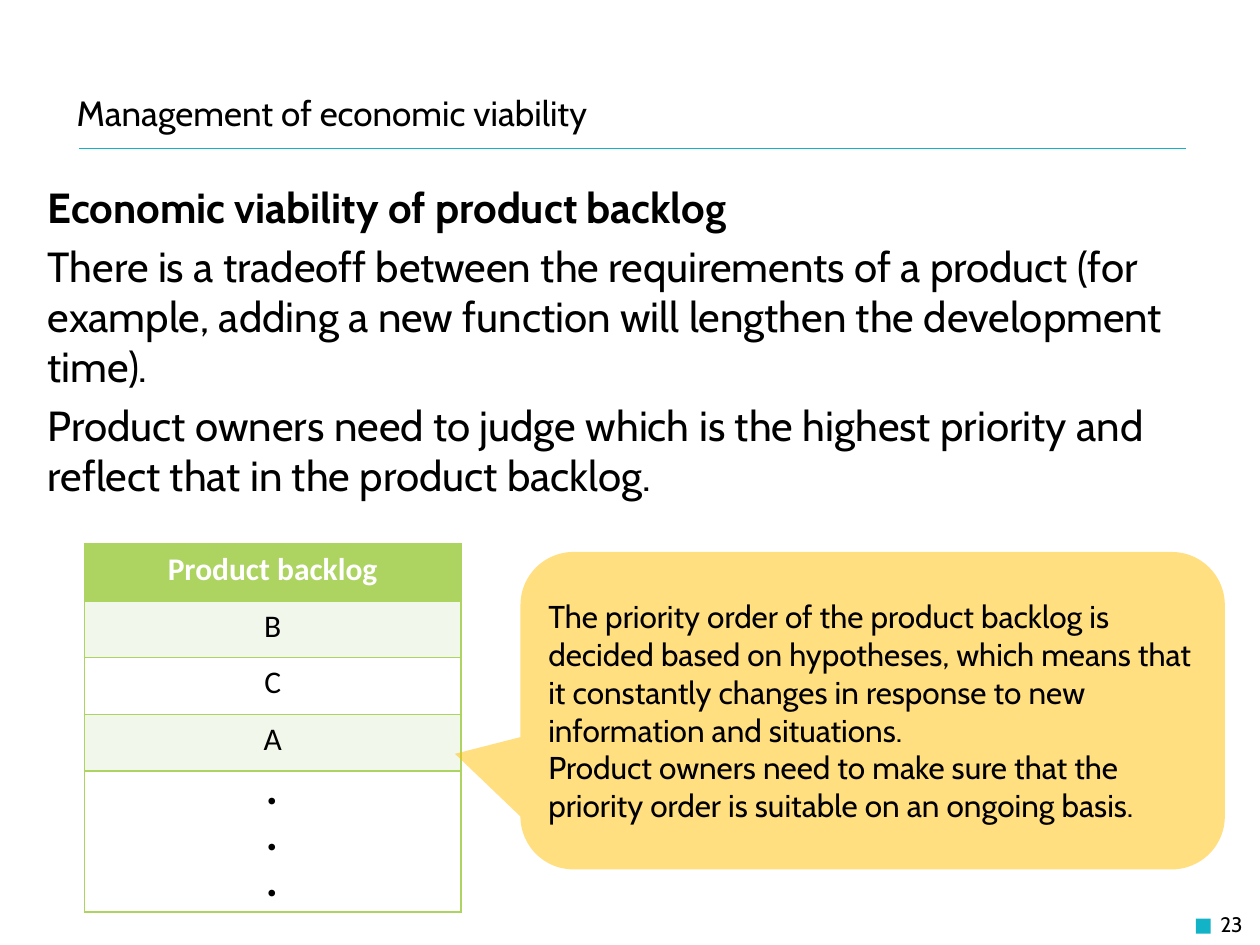
from dataclasses import dataclass

from lxml import etree
from pptx import Presentation
from pptx import util as u
from pptx.dml.color import RGBColor
from pptx.enum import shapes, text
from pptx.oxml import ns


@dataclass(frozen=True)
class Theme:
    ink: str = "000000"
    white: str = "FFFFFF"
    teal: str = "12B3C7"
    green: str = "ADD361"
    pale_green: str = "F1F7EA"
    amber: str = "FFC000"
    font: str = "Cabin"
    table_font: str = "Calibri"
    title_size: int = 20
    body_size: int = 24
    label_size: int = 18
    number_size: int = 12


THEME = Theme()
LEFT, CENTER, RIGHT = text.PP_ALIGN.LEFT, text.PP_ALIGN.CENTER, text.PP_ALIGN.RIGHT
TOP, MIDDLE = text.MSO_ANCHOR.TOP, text.MSO_ANCHOR.MIDDLE


def points(*values):
    return [u.Pt(value) for value in values]


def write(frame, lines, size, font=THEME.font, color=THEME.ink,
          align=LEFT, bold_first=False, gap=0):
    """Fill a text frame with one paragraph per line."""
    frame.word_wrap = True
    for index, line in enumerate(lines):
        paragraph = frame.paragraphs[0] if index == 0 else frame.add_paragraph()
        paragraph.alignment = align
        if index and gap:
            paragraph.space_before = u.Pt(gap)
        run = paragraph.add_run()
        run.text = line
        run.font.name = font
        run.font.size = u.Pt(size)
        run.font.bold = bold_first and index == 0
        run.font.color.rgb = RGBColor.from_string(color)


def add_text(slide, box, lines, size, anchor=TOP, **style):
    shape = slide.shapes.add_textbox(*points(*box))
    shape.text_frame.vertical_anchor = anchor
    write(shape.text_frame, lines, size, **style)


def add_block(slide, kind, box, color):
    shape = slide.shapes.add_shape(kind, *points(*box))
    shape.shadow.inherit = False
    shape.fill.solid()
    shape.fill.fore_color.rgb = RGBColor.from_string(color)
    shape.line.fill.background()
    return shape


def add_rule(slide, left, right, top):
    line = slide.shapes.add_connector(
        shapes.MSO_CONNECTOR.STRAIGHT, *points(left, top, right, top))
    line.line.color.rgb = RGBColor.from_string(THEME.teal)
    line.line.width = u.Pt(0.25)
    etree.SubElement(line._element.spPr, ns.qn("a:effectLst"))


def add_callout(slide, box, lines, adjustments):
    shape = add_block(slide, shapes.MSO_SHAPE.ROUNDED_RECTANGULAR_CALLOUT,
                      box, THEME.amber)
    for index, value in enumerate(adjustments):
        shape.adjustments[index] = value
    # Half transparent fill
    color = shape._element.spPr.find(".//" + ns.qn("a:srgbClr"))
    etree.SubElement(color, ns.qn("a:alpha"), val="50000")
    shape.text_frame.vertical_anchor = MIDDLE
    write(shape.text_frame, lines, THEME.label_size)


def set_borders(cell, color, width):
    properties = cell._tc.get_or_add_tcPr()
    for index, side in enumerate(("lnL", "lnR", "lnT", "lnB")):
        line = etree.Element(ns.qn("a:" + side), w=str(u.Pt(width)))
        fill = etree.SubElement(line, ns.qn("a:solidFill"))
        etree.SubElement(fill, ns.qn("a:srgbClr"), val=color)
        properties.insert(index, line)


def add_backlog(slide, box, rows, heights):
    """One-column table with a header and alternating row fills."""
    table = slide.shapes.add_table(len(rows), 1, *points(*box)).table
    for index, (lines, height) in enumerate(zip(rows, heights)):
        table.rows[index].height = u.Pt(height)
        cell = table.cell(index, 0)
        header = index == 0
        band = THEME.pale_green if index % 2 else THEME.white
        cell.fill.solid()
        cell.fill.fore_color.rgb = RGBColor.from_string(
            THEME.green if header else band)
        set_borders(cell, THEME.green, 1)
        write(cell.text_frame, lines, THEME.label_size, THEME.table_font,
              THEME.white if header else THEME.ink, CENTER, header)


def main():
    presentation = Presentation()
    presentation.slide_width, presentation.slide_height = points(720, 540)
    slide = presentation.slides.add_slide(presentation.slide_layouts[6])

    # Title and rule
    add_rule(slide, 45.4, 677.5, 85)
    add_text(slide, (36.7, 51.8, 493, 25.2), ["Management of economic viability"],
             THEME.title_size, MIDDLE)

    # Body
    add_text(slide, (20.2, 100, 699.8, 414), [
        "Economic viability of product backlog",
        "There is a tradeoff between the requirements of a product (for example, "
        "adding a new function will lengthen the development time).",
        "Product owners need to judge which is the highest priority and "
        "reflect that in the product backlog.",
    ], THEME.body_size, bold_first=True, gap=4.8)

    # Backlog table
    add_backlog(slide, (48.2, 311, 215.3, 209.5),
                [["Product backlog"], ["B"], ["C"], ["A"], ["・"] * 3],
                [32.4] * 4 + [80.6])

    # Callout
    add_callout(slide, (297.4, 315.4, 402.5, 181.4), [
        "The priority order of the product backlog is decided based on hypotheses, "
        "which means that it constantly changes in response to new information "
        "and situations.",
        "Product owners need to make sure that the priority order is suitable "
        "on an ongoing basis.",
    ], (-0.593, 0.136, 0.167))

    # Page number
    add_block(slide, shapes.MSO_SHAPE.RECTANGLE, (683.3, 524.9, 8.6, 8.6), THEME.teal)
    add_text(slide, (549.4, 513.4, 167.8, 28.8), ["23"], THEME.number_size,
             MIDDLE, align=RIGHT)

    presentation.save("out.pptx")


if __name__ == "__main__":
    main()
